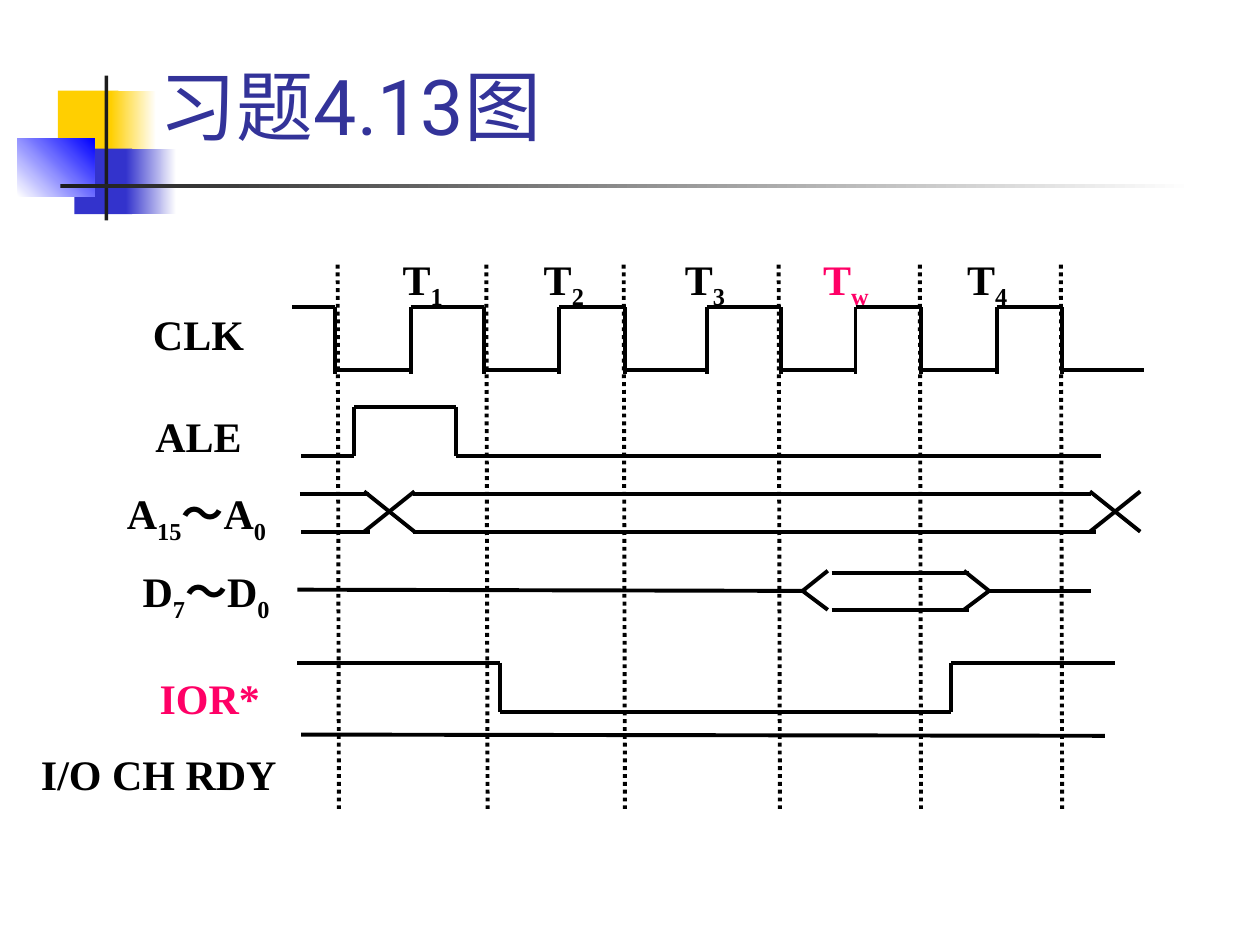
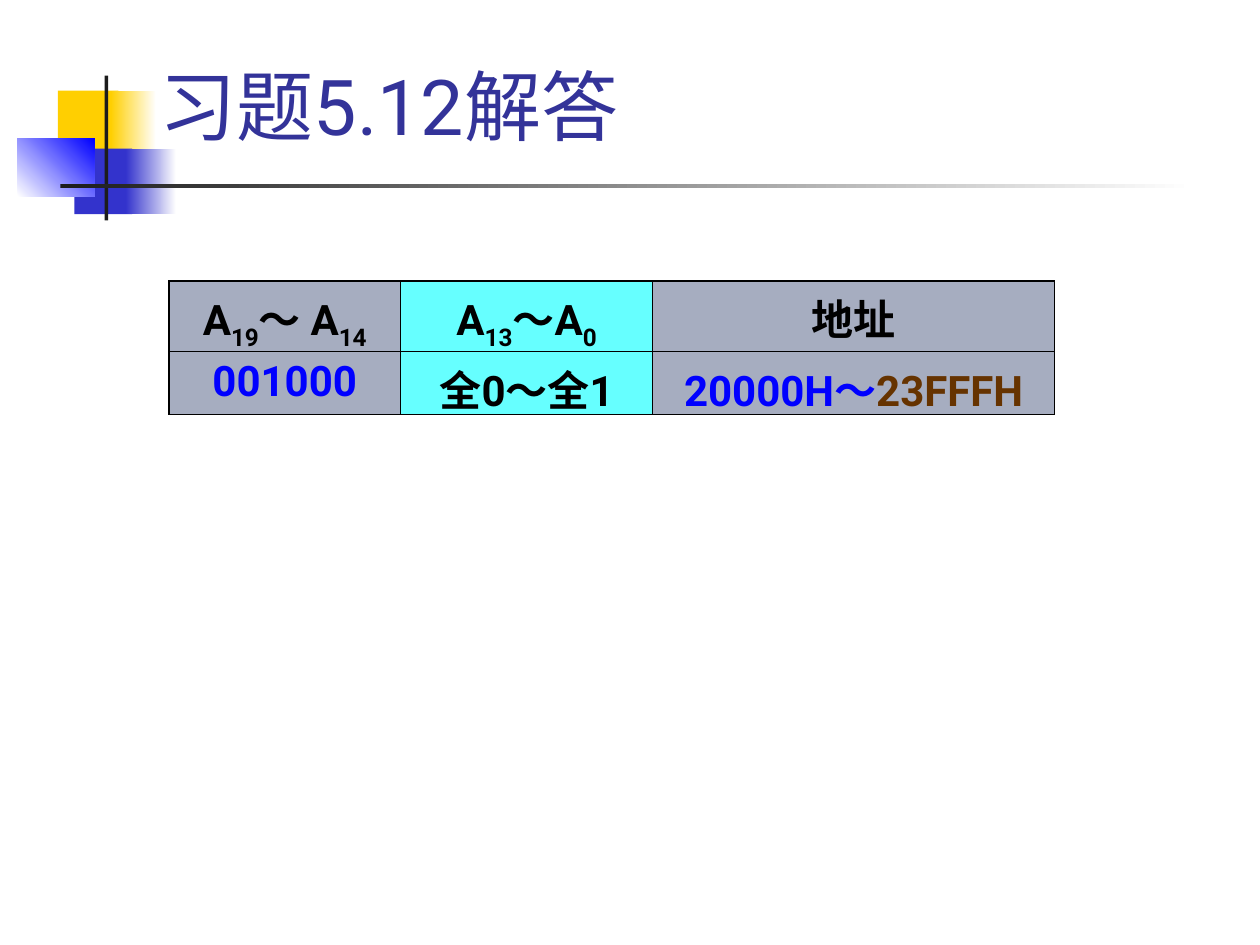
from itertools import pairwise

from lxml import etree
from pptx import Presentation
from pptx import util as u
from pptx.dml import color
from pptx.enum import dml, shapes, text
from pptx.oxml import ns

COLOURS = {
    "title": "333399", "ink": "000000", "accent": "FF0066",
    "gold": "FFCF01", "indigo": "3333CC", "blue": "0000FF",
    "white": "FFFFFF", "bar": "1C1C1C",
    "grey cell": "A6ADC0", "cyan cell": "66FFFF", "brown": "663300",
}
SANS, SERIF = "Roboto", "Times New Roman"


def alternating(colour, *parts):
    return [(part, colour, i % 2 == 1) for i, part in enumerate(parts)]


BAND = [
    ((0.46, 0.72, 0.48, 0.52), ("gold",), 0),
    ((0.88, 0.72, 0.36, 0.52), ("gold", "white"), 0),
    ((0.59, 1.18, 0.46, 0.52), ("indigo",), 0),
    ((1, 1.18, 0.4, 0.52), ("indigo", "white"), 0),
    ((0.14, 1.1, 0.61, 0.46), ("white", "blue"), 45),
    ((0.83, 0.6, 0.03, 1.15), ("bar",), 0),
    ((0.48, 1.46, 9, 0.03), ("bar", "white"), 0),
]
TITLE_BOX = (1.17, 0.33, 8.52, 0.92)
TITLE_FORMAT = {"size": u.Pt(44), "name": SANS}
LABEL_FORMAT = {"size": u.Pt(24), "name": SERIF, "bold": True}
CELL_FORMAT = {"size": u.Pt(24), "name": SANS, "bold": True}

TIMING_TITLE = "习题4.13图"
SIGNAL_LABELS = [
    ((0.84, 2.44, 1.47, 0.48), alternating("ink", "CLK")),
    ((0.84, 3.25, 1.47, 0.43), alternating("ink", "ALE")),
    ((0.41, 3.86, 2.3, 0.47), alternating("ink", "A", "15", "～A", "0")),
    ((0.64, 4.48, 1.99, 0.49), alternating("ink", "D", "7", "～D", "0")),
    ((0.67, 5.33, 1.99, 0.49), alternating("accent", "IOR*")),
    ((0, 5.93, 2.52, 0.49), alternating("ink", "I/O CH RDY")),
]
STATES = [("1", "ink"), ("2", "ink"), ("3", "ink"), ("w", "accent"), ("4", "ink")]
STATE_LEFT, STATE_STEP = 2.77, 1.12
STATE_BOUNDS = [2.68, 3.86, 4.95, 6.18, 7.3, 8.42]
BOUND_TOP, BOUND_BOTTOM = 2.1, 6.42

CLK_FALLS = [2.66, 3.84, 4.96, 6.2, 7.31, 8.43]
CLK_RISES = [3.26, 4.44, 5.61, 6.79, 7.91]
CLK_START, CLK_END = 2.32, 9.08
CLK_HIGH, CLK_LOW, CLK_FOOT = 2.44, 2.94, 2.97

TRACES = [
    [(2.39, 3.62), (2.81, 3.62), (2.81, 3.23), (3.62, 3.23), (3.62, 3.62), (8.74, 3.62)],
    [(2.38, 3.92), (2.93, 3.92)],
    [(2.39, 4.22), (2.94, 4.22)],
    [(3.28, 3.92), (8.66, 3.92)],
    [(3.28, 4.22), (8.7, 4.22)],
    [(2.36, 4.68), (6.4, 4.69)],
    [(6.57, 4.53), (6.37, 4.69), (6.57, 4.84)],
    [(6.6, 4.55), (7.69, 4.55)],
    [(6.6, 4.84), (7.69, 4.84)],
    [(7.65, 4.53), (7.85, 4.69), (7.65, 4.84)],
    [(7.85, 4.69), (8.66, 4.69)],
    [(2.36, 5.26), (3.97, 5.26), (3.97, 5.65), (7.55, 5.65), (7.55, 5.26), (8.85, 5.26)],
    [(2.39, 5.83), (8.77, 5.84)],
]
ADDRESS_CROSSINGS = [3.09, 8.85]
CROSSING_TOP, CROSSING_MID, CROSSING_BOTTOM, CROSSING_REACH = 3.9, 4.06, 4.22, 0.2

ANSWER_TITLE = "习题5.12解答"
ADDRESS_BOX = (1.34, 2.23, 7.02, 1.06)
ADDRESS_WIDTHS, ADDRESS_HEIGHTS = [1.84, 2, 3.19], [0.56, 0.5]
ADDRESS_FILLS = ["grey cell", "cyan cell", "grey cell"]
ADDRESS_ROWS = [
    [alternating("ink", "A", "19", "～ A", "14"),
     alternating("ink", "A", "13", "～A", "0"),
     alternating("ink", "地址")],
    [alternating("blue", "001000"),
     alternating("ink", "全0～全1"),
     alternating("blue", "20000H～") + alternating("brown", "23FFFH")],
]
OUTER_BORDER, INNER_BORDER = 1.08, 0.45


def rgb(name):
    return color.RGBColor.from_string(COLOURS[name])


def inches(values):
    return [u.Inches(value) for value in values]


def apply(target, values):
    for key, value in values.items():
        setattr(target, key, value)


def write(frame, runs, font_format, align):
    paragraph = frame.paragraphs[0]
    paragraph.alignment = align
    for words, colour, lowered in runs:
        run = paragraph.add_run()
        run.text = words
        apply(run.font, font_format)
        run.font.color.rgb = rgb(colour)
        if lowered:
            run.font._element.set("baseline", "-25000")


def add_text(slide, box, runs, font_format, align, anchor, insets):
    frame = slide.shapes.add_textbox(*inches(box)).text_frame
    across, down = inches(insets)
    apply(frame, {
        "word_wrap": True, "vertical_anchor": anchor,
        "margin_left": across, "margin_right": across,
        "margin_top": down, "margin_bottom": down,
    })
    write(frame, runs, font_format, align)


def add_label(slide, box, runs):
    add_text(slide, box, runs, LABEL_FORMAT, text.PP_ALIGN.CENTER,
             text.MSO_ANCHOR.TOP, (0.01, 0.01))


def add_line(slide, start, end, dash=None):
    line = slide.shapes.add_connector(
        shapes.MSO_CONNECTOR.STRAIGHT, *inches(start + end))
    line.line.color.rgb = rgb("ink")
    line.line.width = u.Pt(2.25)
    if dash:
        line.line.dash_style = dash
    etree.SubElement(line._element.spPr, ns.qn("a:effectLst"))


def titled_slide(deck, title):
    slide = deck.slides.add_slide(deck.slide_layouts[6])
    for box, hues, angle in BAND:
        block = slide.shapes.add_shape(shapes.MSO_SHAPE.RECTANGLE, *inches(box))
        block.shadow.inherit = False
        block.line.fill.background()
        if len(hues) == 1:
            block.fill.solid()
            block.fill.fore_color.rgb = rgb(hues[0])
        else:
            block.fill.gradient()
            block.fill.gradient_angle = angle
            for stop, hue in zip(block.fill.gradient_stops, hues):
                stop.color.rgb = rgb(hue)
    add_text(slide, TITLE_BOX, alternating("title", title), TITLE_FORMAT,
             text.PP_ALIGN.LEFT, text.MSO_ANCHOR.BOTTOM, (0.1, 0.05))
    return slide


def draw_clock(slide):
    for edge in CLK_FALLS + CLK_RISES:
        add_line(slide, (edge, CLK_HIGH), (edge, CLK_FOOT))
    for rise, fall in zip([CLK_START] + CLK_RISES, CLK_FALLS):
        add_line(slide, (rise, CLK_HIGH), (fall, CLK_HIGH))
    for fall, rise in zip(CLK_FALLS, CLK_RISES + [CLK_END]):
        add_line(slide, (fall, CLK_LOW), (rise, CLK_LOW))


def timing_slide(deck):
    slide = titled_slide(deck, TIMING_TITLE)
    for box, runs in SIGNAL_LABELS:
        add_label(slide, box, runs)
    for i, (state, colour) in enumerate(STATES):
        add_label(slide, (STATE_LEFT + i * STATE_STEP, 2, 1.17, 0.53),
                  alternating(colour, "T", state))
    for bound in STATE_BOUNDS:
        add_line(slide, (bound, BOUND_TOP), (bound + 0.01, BOUND_BOTTOM),
                 dml.MSO_LINE.ROUND_DOT)
    draw_clock(slide)
    for trace in TRACES:
        for start, end in pairwise(trace):
            add_line(slide, start, end)
    for middle in ADDRESS_CROSSINGS:
        for side in (-CROSSING_REACH, CROSSING_REACH):
            for level in (CROSSING_TOP, CROSSING_BOTTOM):
                add_line(slide, (middle + side, level), (middle, CROSSING_MID))


def set_borders(cell, widths):
    properties = cell._tc.get_or_add_tcPr()
    for side, width in widths.items():
        border = etree.SubElement(properties, ns.qn(f"a:ln{side}"), w=str(u.Pt(width)))
        fill = etree.SubElement(border, ns.qn("a:solidFill"))
        etree.SubElement(fill, ns.qn("a:srgbClr"), val=COLOURS["ink"])


def answer_slide(deck):
    slide = titled_slide(deck, ANSWER_TITLE)
    last_row, last_column = len(ADDRESS_ROWS) - 1, len(ADDRESS_WIDTHS) - 1
    table = slide.shapes.add_table(
        last_row + 1, last_column + 1, *inches(ADDRESS_BOX)).table
    for column, width in zip(table.columns, ADDRESS_WIDTHS):
        column.width = u.Inches(width)
    for row, height in zip(table.rows, ADDRESS_HEIGHTS):
        row.height = u.Inches(height)
    for r, row in enumerate(ADDRESS_ROWS):
        for c, runs in enumerate(row):
            cell = table.cell(r, c)
            on_edge = {"L": c == 0, "R": c == last_column,
                       "T": r == 0, "B": r == last_row}
            set_borders(cell, {side: OUTER_BORDER if outer else INNER_BORDER
                               for side, outer in on_edge.items()})
            cell.fill.solid()
            cell.fill.fore_color.rgb = rgb(ADDRESS_FILLS[c])
            write(cell.text_frame, runs, CELL_FORMAT, text.PP_ALIGN.CENTER)


def main():
    deck = Presentation()
    apply(deck, {"slide_width": u.Inches(10), "slide_height": u.Inches(7.5)})
    timing_slide(deck)
    answer_slide(deck)
    deck.save("out.pptx")


if __name__ == "__main__":
    main()
